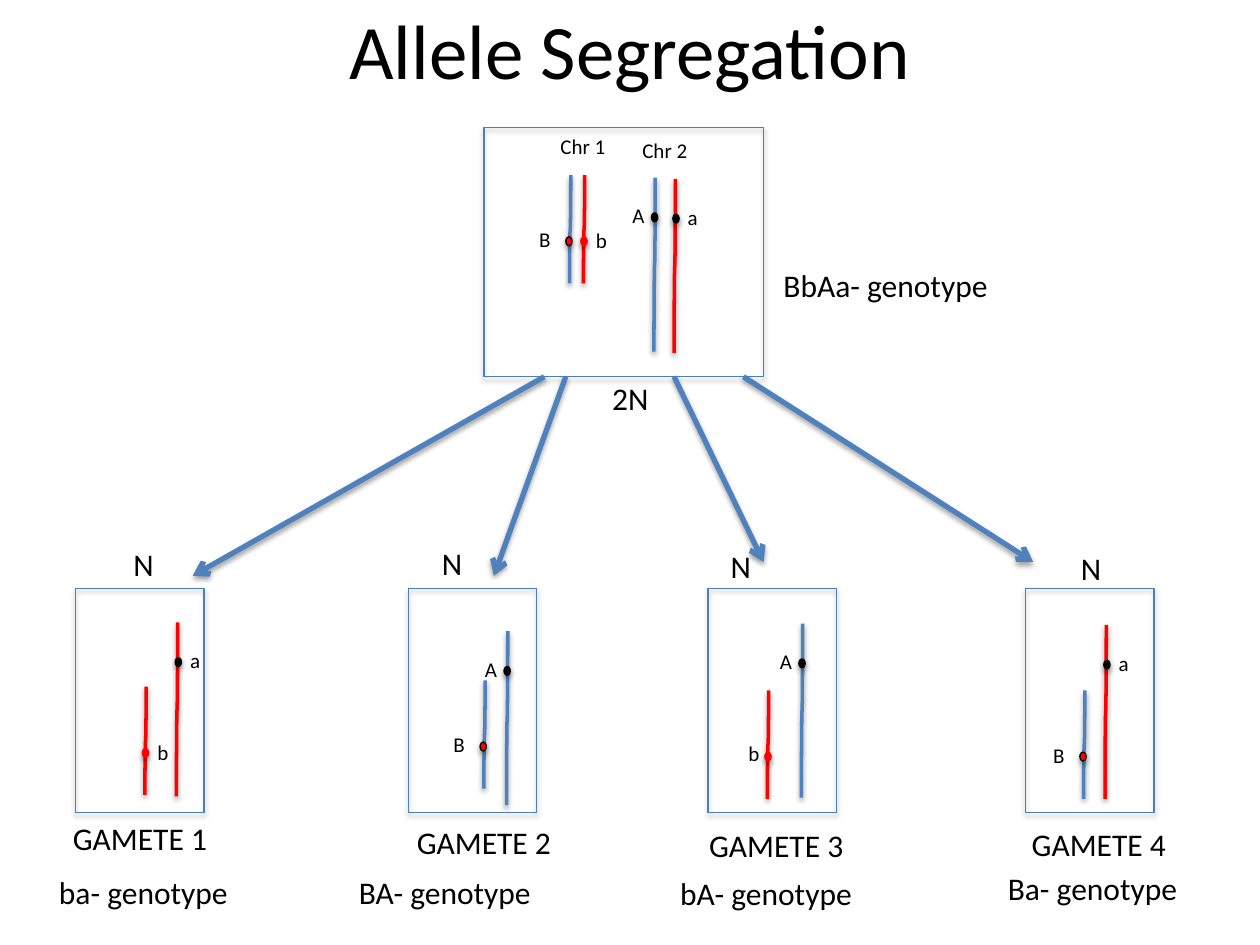
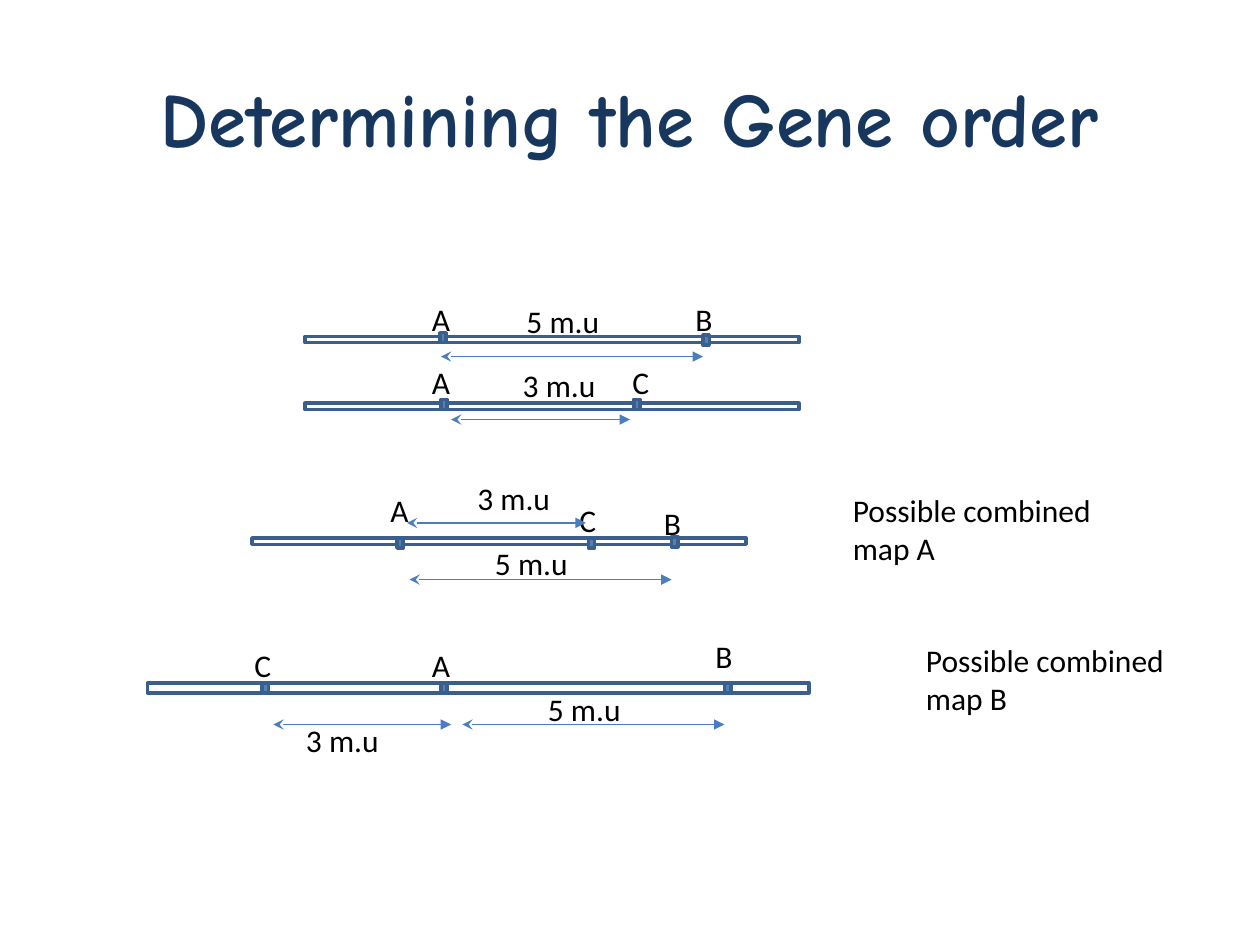
from dataclasses import dataclass, replace

from lxml.etree import SubElement
from pptx import Presentation
from pptx.dml.color import RGBColor
from pptx.enum.shapes import MSO_CONNECTOR, MSO_SHAPE
from pptx.enum.text import MSO_ANCHOR, PP_ALIGN
from pptx.oxml.ns import qn
from pptx.util import Inches, Pt

BLACK = RGBColor(0x00, 0x00, 0x00)
BLUE = RGBColor(0x4F, 0x81, 0xBD)
EDGE = RGBColor(0x4B, 0x7E, 0xBC)
DARK = RGBColor(0x3A, 0x5F, 0x8C)
NAVY = RGBColor(0x17, 0x37, 0x5E)
RED = RGBColor(0xFF, 0x00, 0x00)
FONT = "Calibri"


@dataclass(frozen=True)
class Allele:
    name: str
    length: float
    hue: RGBColor
    fill: RGBColor
    rim: RGBColor
    dot: tuple[float, float]
    tag: tuple[float, float]


BIG_A = Allele("A", 1.38, BLUE, BLACK, BLACK, (-0.03, 0.28), (-0.28, 0.15))
LOW_A = Allele("a", 1.38, RED, BLACK, BLACK, (-0.02, 0.28), (0, 0.15))
BIG_B = Allele("B", 0.86, BLUE, RED, BLACK, (-0.04, 0.49), (-0.35, 0.36))
LOW_B = Allele("b", 0.86, RED, RED, RED, (-0.03, 0.49), (-0.01, 0.37))
LEFT_B = replace(LOW_B, tag=(-0.26, 0.35))


@dataclass(frozen=True)
class Label:
    text: str
    left: float
    top: float
    width: float = 2.13


@dataclass(frozen=True)
class Cell:
    left: float
    top: float
    width: float
    height: float
    strands: list[tuple[Allele, float, float]]
    labels: list[Label]


@dataclass(frozen=True)
class Gene:
    name: str
    left: float
    top: float
    tag_left: float
    tag_top: float


@dataclass(frozen=True)
class Span:
    text: str
    start: float
    end: float
    top: float
    tag_left: float
    tag_top: float


@dataclass(frozen=True)
class Map:
    left: float
    top: float
    width: float
    height: float
    genes: list[Gene]
    spans: list[Span]
    note: Label | None = None


PARENT = Cell(3.84, 1.01, 2.22, 1.98,
              [(BIG_A, 5.2, 1.41), (LOW_A, 5.36, 1.42),
               (BIG_B, 4.53, 1.39), (LOW_B, 4.64, 1.39)],
              [Label("2N", 4.76, 2.96), Label("BbAa- genotype", 6.12, 2.06)])


def gamete(left: float, strands: list, labels: list) -> Cell:
    return Cell(left, 4.67, 1.02, 1.78, strands, labels)


GAMETES = [
    gamete(0.6, [(LOW_A, 1.41, 4.94), (LOW_B, 1.16, 5.45)],
           [Label("N", 0.96, 4.28), Label("GAMETE 1", 0.48, 6.45),
            Label("ba- genotype", 0.37, 6.88)]),
    gamete(3.24, [(BIG_A, 4.03, 5.01), (BIG_B, 3.85, 5.4)],
           [Label("N", 3.41, 4.27), Label("GAMETE 2", 3.21, 6.48),
            Label("BA- genotype", 2.75, 6.88)]),
    gamete(5.62, [(BIG_A, 6.37, 4.95), (LEFT_B, 6.1, 5.48)],
           [Label("N", 5.7, 4.29), Label("GAMETE 3", 5.53, 6.51),
            Label("bA- genotype", 5.3, 6.89)]),
    gamete(8.14, [(LOW_A, 8.78, 4.96), (BIG_B, 8.61, 5.48)],
           [Label("N", 8.48, 4.31), Label("GAMETE 4", 8.09, 6.5),
            Label("Ba- genotype", 7.9, 6.85)]),
]

ARROWS = [(4.32, 1.53, 4.57), (4.49, 3.92, 4.57),
          (5.35, 6.06, 4.46), (5.9, 8.2, 4.46)]

MAPS = [
    Map(2.42, 2.67, 3.92, 0.05,
        [Gene("A", 3.49, 2.64, 3.33, 2.33), Gene("B", 5.58, 2.66, 5.42, 2.33)],
        [Span("5 m.u", 3.5, 5.58, 2.83, 4.08, 2.35)]),
    Map(2.42, 3.2, 3.92, 0.05,
        [Gene("A", 3.5, 3.17, 3.33, 2.83), Gene("C", 5.03, 3.17, 4.92, 2.83)],
        [Span("3 m.u", 3.58, 5, 3.33, 4.05, 2.86)]),
    Map(2, 4.27, 3.92, 0.05,
        [Gene("A", 3.15, 4.27, 3, 3.85), Gene("C", 4.67, 4.27, 4.5, 3.93),
         Gene("B", 5.33, 4.26, 5.17, 3.95)],
        [Span("3 m.u", 3.23, 4.65, 4.15, 3.69, 3.75),
         Span("5 m.u", 3.25, 5.33, 4.6, 3.83, 4.27)],
        Label("Possible combined map A", 6.67, 3.85, 2.25)),
    Map(1.17, 5.42, 5.25, 0.08,
        [Gene("C", 2.08, 5.42, 1.92, 5.08), Gene("A", 3.5, 5.42, 3.33, 5.08),
         Gene("B", 5.75, 5.42, 5.58, 5.01)],
        [Span("3 m.u", 2.17, 3.58, 5.75, 2.33, 5.67),
         Span("5 m.u", 3.67, 5.75, 5.75, 4.25, 5.43)],
        Label("Possible combined map B", 7.25, 5.04, 2.25)),
]


def add_title(deck, text: str, top: float, font: str, hue: RGBColor, bold: bool):
    slide = deck.slides.add_slide(deck.slide_layouts[5])
    title = slide.shapes.title
    title.left, title.top = Inches(0.5), Inches(top)
    title.width, title.height = Inches(9), Inches(1.25)
    frame = title.text_frame
    frame.text = text
    frame.vertical_anchor = MSO_ANCHOR.MIDDLE
    frame.paragraphs[0].alignment = PP_ALIGN.CENTER
    style(frame, 44, font, hue, bold)
    return slide


def style(frame, size: float, font: str, hue: RGBColor, bold: bool = False) -> None:
    for run in frame.paragraphs[0].runs:
        run.font.size, run.font.name, run.font.bold = Pt(size), font, bold
        run.font.color.rgb = hue


def add_text(slide, label: Label, size: float = 18) -> None:
    box = slide.shapes.add_textbox(Inches(label.left), Inches(label.top),
                                   Inches(label.width), Inches(size / 45))
    box.text_frame.word_wrap = True
    box.text_frame.text = label.text
    style(box.text_frame, size, FONT, BLACK)


def add_shade(shape, alpha: int, gap: float) -> None:
    props = shape.element.spPr
    list_ = props.find(qn("a:effectLst"))
    if list_ is None:
        list_ = SubElement(props, qn("a:effectLst"))
    if alpha:
        shade = SubElement(list_, qn("a:outerShdw"), blurRad=str(Pt(3.1)),
                           dist=str(Pt(gap)), dir="5400000", rotWithShape="0")
        hue = SubElement(shade, qn("a:srgbClr"), val=str(BLACK))
        SubElement(hue, qn("a:alpha"), val=str(alpha * 1000))


def add_block(slide, kind, left: float, top: float, width: float, height: float,
              rim: RGBColor, weight: float, fill: RGBColor | None = None,
              shade: bool = False) -> None:
    block = slide.shapes.add_shape(kind, Inches(left), Inches(top),
                                   Inches(width), Inches(height))
    if fill is None:
        block.fill.background()
    else:
        block.fill.solid()
        block.fill.fore_color.rgb = fill
    block.line.color.rgb = rim
    block.line.width = Pt(weight)
    block.shadow.inherit = False
    if shade:
        add_shade(block, 35, 1.8)


def add_line(slide, kind, x1: float, y1: float, x2: float, y2: float,
             hue: RGBColor, weight: float, head: str = "none",
             tail: str = "none", shade: bool = True):
    line = slide.shapes.add_connector(kind, Inches(x1), Inches(y1),
                                      Inches(x2), Inches(y2))
    line.line.color.rgb = hue
    line.line.width = Pt(weight)
    stroke = line.element.spPr.find(qn("a:ln"))
    SubElement(stroke, qn("a:headEnd"), type=head)
    SubElement(stroke, qn("a:tailEnd"), type=tail)
    add_shade(line, 38 if shade else 0, 1.6)
    return line


def add_strand(slide, allele: Allele, x: float, y: float) -> None:
    half, bend = allele.length / 2, 0.01
    mid_x, mid_y = x - bend / 2, y + half
    curve = add_line(slide, MSO_CONNECTOR.CURVE, mid_x - half, mid_y - bend / 2,
                     mid_x + half, mid_y + bend / 2, allele.hue, 2)
    curve.rotation = 90
    add_block(slide, MSO_SHAPE.OVAL, x + allele.dot[0], y + allele.dot[1],
              0.05, 0.07, allele.rim, 0.75, allele.fill, True)
    add_text(slide, Label(allele.name, x + allele.tag[0], y + allele.tag[1], 0.32), 12)


def add_cell(slide, cell: Cell) -> None:
    for allele, x, y in cell.strands:
        add_strand(slide, allele, x, y)
    add_block(slide, MSO_SHAPE.RECTANGLE, cell.left, cell.top, cell.width,
              cell.height, EDGE, 0.75, shade=True)
    for label in cell.labels:
        add_text(slide, label)


def add_map(slide, chart: Map) -> None:
    add_block(slide, MSO_SHAPE.RECTANGLE, chart.left, chart.top, chart.width,
              chart.height, DARK, 2)
    for gene in chart.genes:
        add_block(slide, MSO_SHAPE.RECTANGLE, gene.left, gene.top, 0.05, 0.08,
                  DARK, 2, BLUE)
        add_text(slide, Label(gene.name, gene.tag_left, gene.tag_top, 0.5))
    for span in chart.spans:
        add_line(slide, MSO_CONNECTOR.STRAIGHT, span.start, span.top, span.end,
                 span.top, EDGE, 0.75, "stealth", "triangle", False)
        add_text(slide, Label(span.text, span.tag_left, span.tag_top, 0.92))
    if chart.note:
        add_text(slide, chart.note)


def main() -> None:
    deck = Presentation()
    deck.slide_width, deck.slide_height = Inches(10), Inches(7.5)

    split = add_title(deck, "Allele Segregation", -0.24, FONT, BLACK, False)
    for cell in [PARENT, *GAMETES]:
        add_cell(split, cell)
    for text, left, top in [("Chr 1", 4.35, 1.01), ("Chr 2", 5, 1.04)]:
        add_text(split, Label(text, left, top, 1.06), 12)
    for start, end, low in ARROWS:
        add_line(split, MSO_CONNECTOR.STRAIGHT, start, PARENT.top + PARENT.height,
                 end, low, BLUE, 3, tail="arrow")

    order = add_title(deck, "Determining the Gene order", 0.3, "Comic Neue", NAVY, True)
    for chart in MAPS:
        add_map(order, chart)
    deck.save("out.pptx")


if __name__ == "__main__":
    main()
